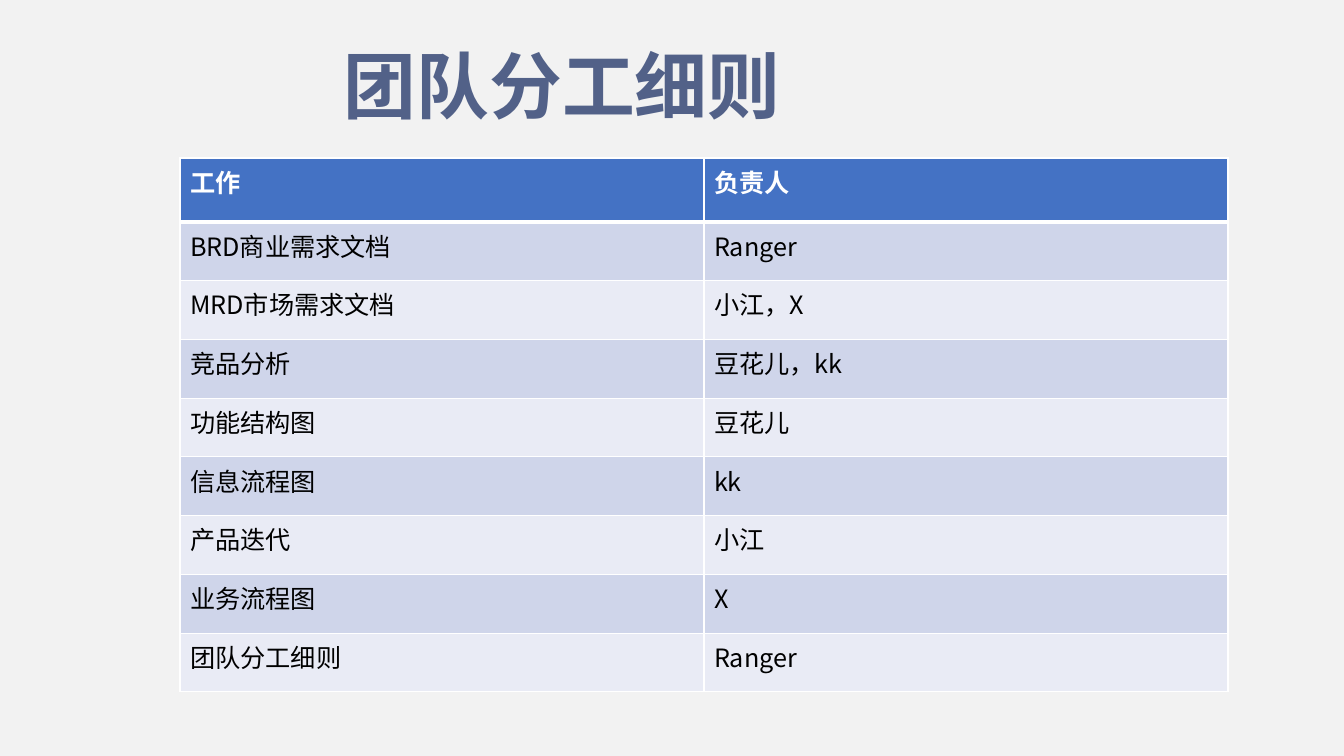
from dataclasses import dataclass

from lxml.etree import SubElement
from pptx import Presentation
from pptx.dml.color import RGBColor
from pptx.enum.text import MSO_AUTO_SIZE, PP_ALIGN
from pptx.oxml.ns import qn
from pptx.util import Emu, Pt

SCALE = 12192000 / 1344


@dataclass(frozen=True)
class Theme:
    """Colours, font and type sizes of the slide."""
    font: str = "Noto Sans CJK SC"
    back: str = "F2F2F2"
    title: str = "526188"
    head: str = "4472C4"
    bands: tuple = ("CFD5EA", "E9EBF5")
    white: str = "FFFFFF"
    ink: str = "000000"
    big: int = 52
    body: int = 18
    thin: int = 1
    thick: int = 3


THEME = Theme()
DUTIES = [
    ("工作", "负责人"),
    ("BRD商业需求文档", "Ranger"),
    ("MRD市场需求文档", "小江，X"),
    ("竞品分析", "豆花儿，kk"),
    ("功能结构图", "豆花儿"),
    ("信息流程图", "kk"),
    ("产品迭代", "小江"),
    ("业务流程图", "X"),
    ("团队分工细则", "Ranger"),
]


def px(count):
    """Turn pixels into EMU."""
    return Emu(round(count * SCALE))


def paint(fill, color):
    """Give a fill one solid colour."""
    fill.solid()
    fill.fore_color.rgb = RGBColor.from_string(color)


def add_run(para, text, size, color, bold=False):
    """Add one styled run to a paragraph."""
    run = para.add_run()
    run.text = text
    font = run.font
    font.size, font.bold = Pt(size), bold
    paint(font.fill, color)
    font.name = THEME.font
    SubElement(font._element, qn("a:ea"), typeface=THEME.font)


def add_title(slide, text, box):
    """Add the justified slide title."""
    frame = slide.shapes.add_textbox(*map(px, box)).text_frame
    frame.word_wrap = True
    frame.auto_size = MSO_AUTO_SIZE.SHAPE_TO_FIT_TEXT
    para = frame.paragraphs[0]
    para.alignment = PP_ALIGN.JUSTIFY
    add_run(para, text, THEME.big, THEME.title, True)


def add_edge(cell, side, width):
    """Draw one white border of a cell."""
    props = cell._tc.get_or_add_tcPr()
    line = SubElement(props, qn(f"a:ln{side}"), w=str(Pt(width)))
    solid = SubElement(line, qn("a:solidFill"))
    SubElement(solid, qn("a:srgbClr"), val=THEME.white)


def fill_cell(cell, text, row):
    """Style and fill a cell according to its row."""
    head = row == 0
    heavy = {(0, "B"), (1, "T")}
    for side in "LRTB":
        add_edge(cell, side, THEME.thick if (row, side) in heavy else THEME.thin)
    paint(cell.fill, THEME.head if head else THEME.bands[(row - 1) % 2])
    color = THEME.white if head else THEME.ink
    add_run(cell.text_frame.paragraphs[0], text, THEME.body, color, head)


def add_grid(slide, data, box, top):
    """Add the table with a header of height top and equal rows below."""
    count = len(data)
    table = slide.shapes.add_table(count, len(data[0]), *map(px, box)).table
    step = (box[3] - top) / (count - 1)
    for row, texts in enumerate(data):
        table.rows[row].height = px(step if row else top)
        for col, text in enumerate(texts):
            fill_cell(table.cell(row, col), text, row)


def main():
    """Build and save the slide."""
    deck = Presentation()
    deck.slide_width, deck.slide_height = px(1344), px(756)
    slide = deck.slides.add_slide(deck.slide_layouts[6])
    paint(slide.background.fill, THEME.back)
    add_title(slide, "团队分工细则", (334, 36, 672, 99))
    add_grid(slide, DUTIES, (180, 158, 1048, 534), 64)
    deck.save("out.pptx")


main()
